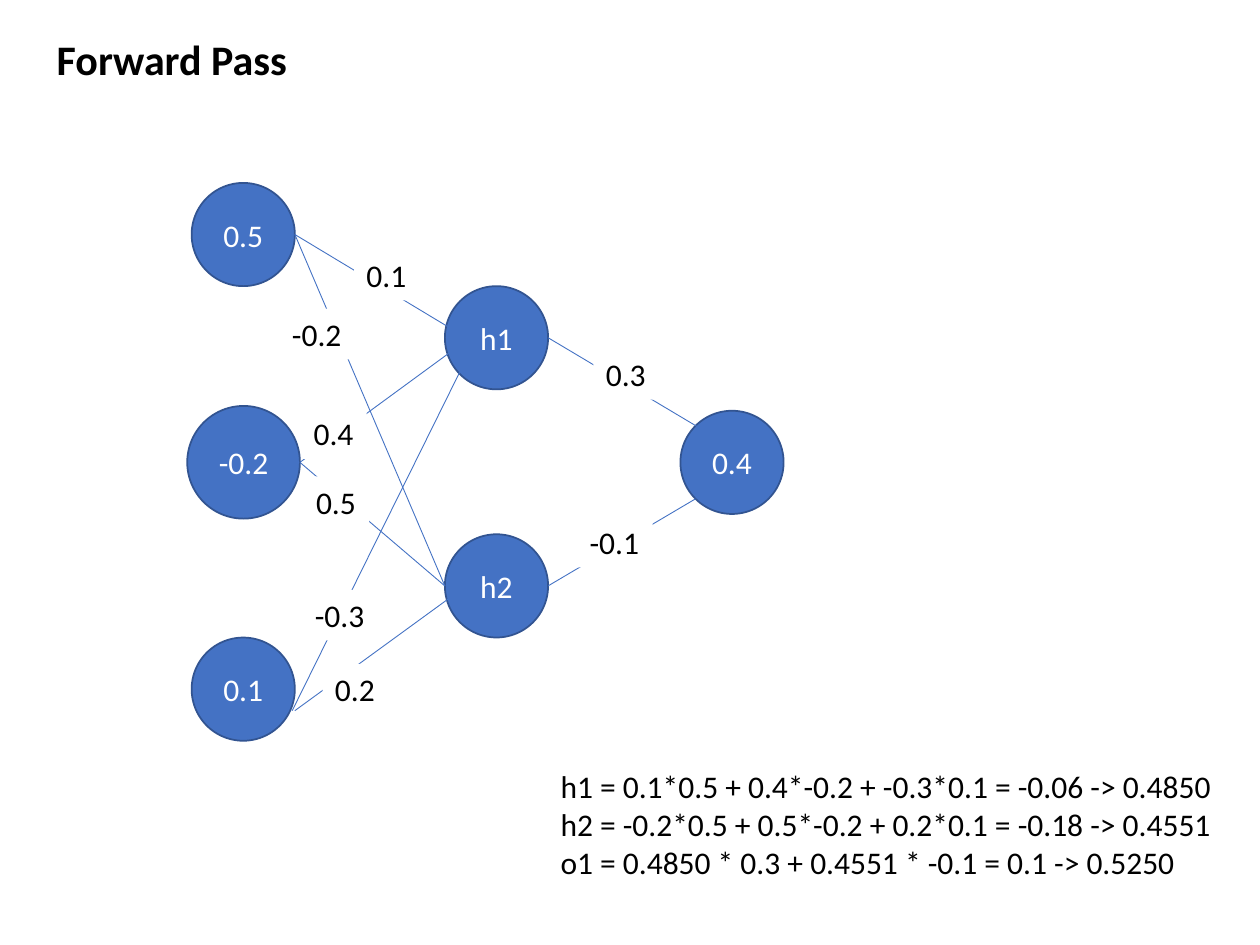
import pptx
import pptx.dml.color
import pptx.enum.shapes
import pptx.enum.text
import pptx.oxml
import pptx.util

Pt = pptx.util.Pt
RGBColor = pptx.dml.color.RGBColor
ANCHOR = pptx.enum.text.MSO_ANCHOR
ALIGN = pptx.enum.text.PP_ALIGN

BLUE = RGBColor(0x44, 0x72, 0xC4)
DARK_BLUE = RGBColor(0x32, 0x54, 0x91)
WHITE = RGBColor(0xFF, 0xFF, 0xFF)
BLACK = RGBColor(0x00, 0x00, 0x00)
FONT = "Calibri"

TITLE = "Forward Pass"
EQUATIONS = [
    "h1 = 0.1*0.5 + 0.4*-0.2 + -0.3*0.1 = -0.06 -> 0.4850",
    "h2 = -0.2*0.5 + 0.5*-0.2 + 0.2*0.1 = -0.18 -> 0.4551",
    "o1 = 0.4850 * 0.3 + 0.4551 * -0.1 = 0.1 -> 0.5250",
]

# Neurons: key -> (text, centre x, centre y, diameter)
NEURONS = {
    "i1": ("0.5", 139, 134, 59),
    "i2": ("-0.2", 139.2, 264.2, 64.4),
    "i3": ("0.1", 139, 393.8, 59),
    "h1": ("h1", 283.7, 193, 59),
    "h2": ("h2", 283.7, 334.8, 59),
    "o1": ("0.4", 418.3, 264.2, 59),
}

# Weights: text, source, offset from its right edge,
# target, offset from its centre, label left and top
WEIGHTS = [
    ("0.1", "i1", (0, 0), "h1", (-17.3, 0), (202.3, 142.6)),
    ("0.4", "i2", (0, 0), "h1", (-15.1, 0), (172.1, 233.3)),
    ("0.5", "i2", (0, 0), "h2", (-29.5, 0), (173.5, 272.2)),
    ("-0.2", "i1", (0, 0), "h2", (-29.5, 0), (159.8, 176.4)),
    ("-0.3", "i3", (-1.5, 12.3), "h1", (-17.3, 12.2), (172.8, 337)),
    ("0.2", "i3", (0, 12.3), "h2", (-17.3, 0), (184.3, 379.4)),
    ("0.3", "h1", (0, 0), "o1", (0, -8.6), (339.1, 199.4)),
    ("-0.1", "h2", (0, 0), "o1", (-20.9, 20.9), (329.8, 295.2)),
]


def write(frame, lines, size, color, align=ALIGN.LEFT, bold=False):
    frame.word_wrap = False
    frame.text = "\n".join(lines)
    for paragraph in frame.paragraphs:
        paragraph.alignment = align
        paragraph.font.name = FONT
        paragraph.font.size = Pt(size)
        paragraph.font.bold = bold
        paragraph.font.color.rgb = color


def add_text(slide, lines, left, top, width, height):
    box = slide.shapes.add_textbox(Pt(left), Pt(top), Pt(width), Pt(height))
    write(box.text_frame, lines, 18, BLACK)
    return box


def add_neuron(slide, text, x, y, diameter):
    neuron = slide.shapes.add_shape(
        pptx.enum.shapes.MSO_SHAPE.OVAL,
        Pt(x - diameter / 2), Pt(y - diameter / 2), Pt(diameter), Pt(diameter))
    neuron.shadow.inherit = False
    neuron.fill.solid()
    neuron.fill.fore_color.rgb = BLUE
    neuron.line.color.rgb = DARK_BLUE
    neuron.line.width = Pt(1)
    neuron.text_frame.vertical_anchor = ANCHOR.MIDDLE
    write(neuron.text_frame, [text], 18, WHITE, ALIGN.CENTER)


def add_link(slide, source, start_offset, target, end_offset):
    _, x1, y1, diameter = NEURONS[source]
    _, x2, y2, _ = NEURONS[target]
    link = slide.shapes.add_connector(
        pptx.enum.shapes.MSO_CONNECTOR.STRAIGHT,
        Pt(x1 + diameter / 2 + start_offset[0]), Pt(y1 + start_offset[1]),
        Pt(x2 + end_offset[0]), Pt(y2 + end_offset[1]))
    link.line.color.rgb = BLUE
    link.line.width = Pt(0.5)
    properties = link._element.spPr
    properties.append(pptx.oxml.parse_xml(
        '<a:effectLst xmlns:a="http://schemas.openxmlformats.org/drawingml/2006/main"/>'))


def main():
    deck = pptx.Presentation()
    deck.slide_width, deck.slide_height = Pt(720), Pt(540)
    slide = deck.slides.add_slide(deck.slide_layouts[5])

    # Title
    title = slide.shapes.title
    title.left, title.top, title.width, title.height = Pt(25.2), Pt(15.8), Pt(147.6), Pt(36)
    title.text_frame.vertical_anchor = ANCHOR.TOP
    write(title.text_frame, [TITLE], 24, BLACK, bold=True)

    # Network
    for neuron in NEURONS.values():
        add_neuron(slide, *neuron)
    for _, source, start_offset, target, end_offset, _ in WEIGHTS:
        add_link(slide, source, start_offset, target, end_offset)

    # Weight labels, covering the middle of each link
    for weight, *_, (left, top) in WEIGHTS:
        width = 43.2 if weight.startswith("-") else 37.4
        label = add_text(slide, [weight], left, top, width, 29)
        label.fill.solid()
        label.fill.fore_color.rgb = WHITE

    # Equations
    add_text(slide, EQUATIONS, 313.2, 434.9, 390.2, 72.7)

    deck.save("out.pptx")


if __name__ == "__main__":
    main()
